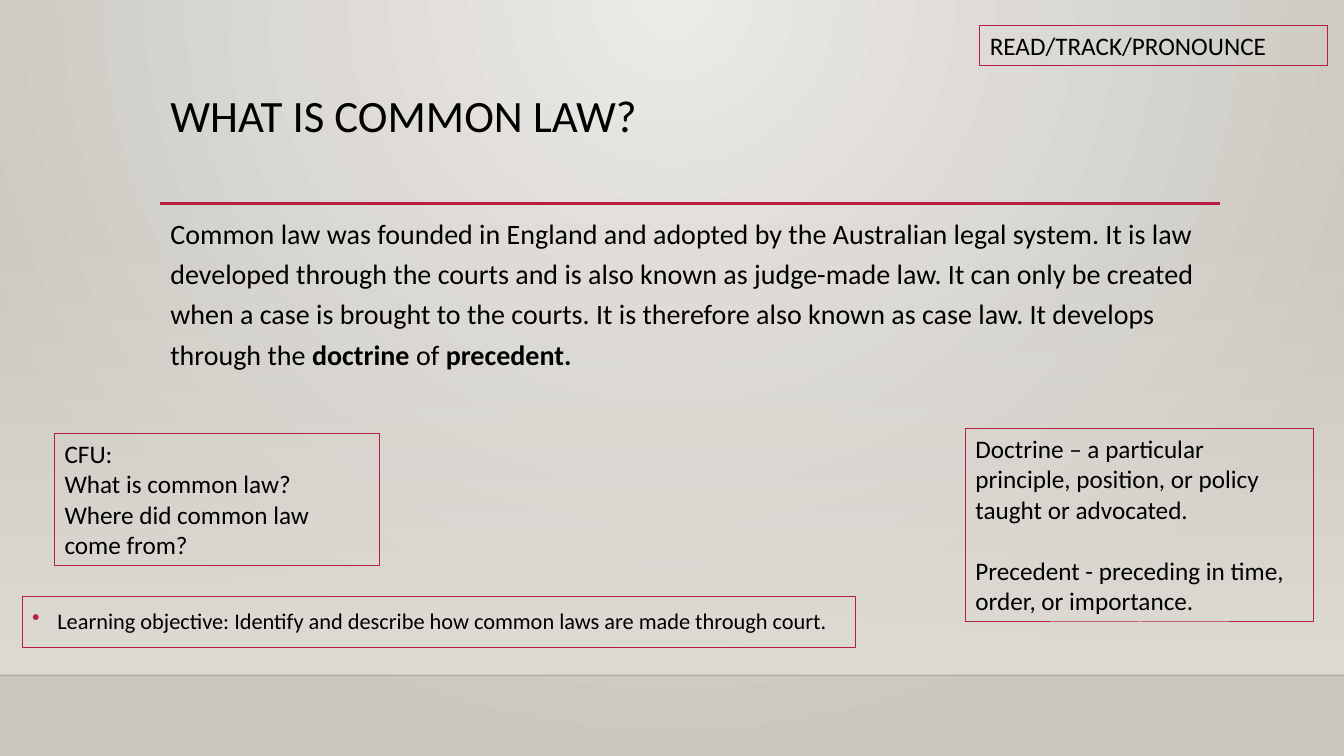
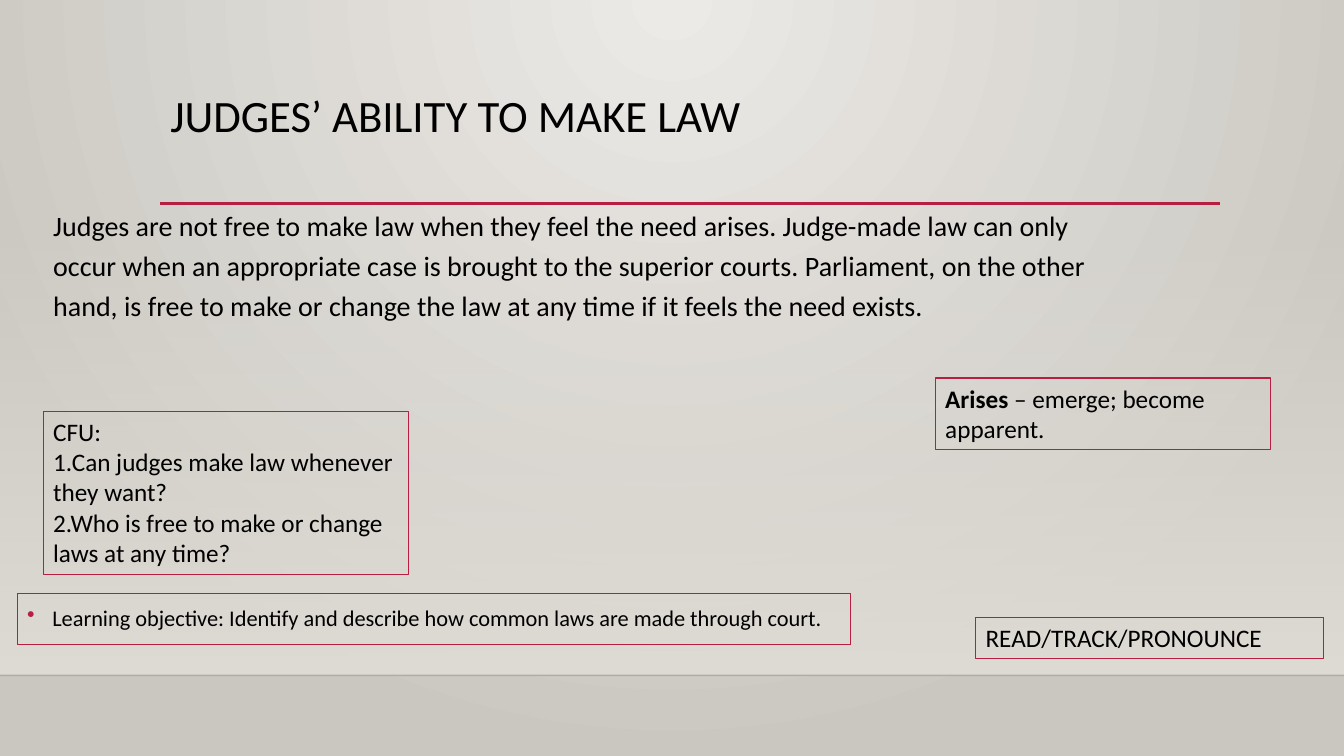
import pptx
import pptx.util
import pptx.oxml
import pptx.oxml.ns
import pptx.dml.color
import pptx.enum.shapes
import pptx.enum.text
import lxml.etree

# Shared look; lengths are columns and rows of a 32 x 18 grid
WIDE, HIGH = pptx.util.Inches(13.333), pptx.util.Inches(7.5)
COLS, ROWS = 32, 18
FONT, INK, RED = "Calibri", "000000", "B71E42"
LEFT, SPAN = 3.82, 25.2
RULE, FLOOR = 4.85, 16.08
GOAL = ("Learning objective: Identify and describe how common laws "
        "are made through court.")
CUE = "READ/TRACK/PRONOUNCE"
qn = pptx.oxml.ns.qn


def color(code):
    return pptx.dml.color.RGBColor.from_string(code)


def place(left, top, width, height):
    col, row = WIDE / COLS, HIGH / ROWS
    return [round(n) for n in (left * col, top * row, width * col, height * row)]


def blend(first, last, shape, clear=False):
    """Gradient fill between two colours, the first one optionally clear."""
    alpha = '<a:alpha val="0"/>' if clear else ""
    return pptx.oxml.parse_xml(
        f'<a:gradFill {pptx.oxml.ns.nsdecls("a")} rotWithShape="1"><a:gsLst>'
        f'<a:gs pos="0"><a:srgbClr val="{first}">{alpha}</a:srgbClr></a:gs>'
        f'<a:gs pos="100000"><a:srgbClr val="{last}"/></a:gs>'
        f'</a:gsLst>{shape}</a:gradFill>')


def bullet(par, code):
    props = par._p.get_or_add_pPr()
    indent = pptx.util.Inches(0.25)
    props.set("marL", str(indent))
    props.set("indent", str(-indent))
    tint = lxml.etree.SubElement(props, qn("a:buClr"))
    lxml.etree.SubElement(tint, qn("a:srgbClr"), val=code)
    lxml.etree.SubElement(props, qn("a:buChar"), char="•")


def write(shape, *lines, size=18, pitch=None, gap=0, dot=None):
    """Fill a shape with paragraphs; words between asterisks are bold."""
    frame = shape.text_frame
    frame.word_wrap = True
    frame.vertical_anchor = pptx.enum.text.MSO_ANCHOR.TOP
    for i, line in enumerate(lines):
        par = frame.add_paragraph() if i else frame.paragraphs[0]
        par.alignment = pptx.enum.text.PP_ALIGN.LEFT
        if pitch:
            par.line_spacing = pitch
        if i and gap:
            par.space_before = pptx.util.Pt(gap)
        if dot:
            bullet(par, dot)
        for j, part in enumerate(line.split("*")):
            run = par.add_run()
            run.text = part
            run.font.name = FONT
            run.font.size = pptx.util.Pt(size)
            run.font.bold = j % 2 == 1
            run.font.color.rgb = color(INK)


def rect(slide, *spot):
    shape = slide.shapes.add_shape(
        pptx.enum.shapes.MSO_SHAPE.RECTANGLE, *place(*spot))
    shape.shadow.inherit = False
    shape.fill.background()
    return shape


def card(slide, spot, *lines, **style):
    shape = rect(slide, *spot)
    shape.line.color.rgb = color(RED)
    shape.line.width = pptx.util.Pt(0.75)
    write(shape, *lines, **style)


def label(slide, spot, *lines, **style):
    write(slide.shapes.add_textbox(*place(*spot)), *lines, **style)


def rule(slide, left, right, row, code, width, alpha=100):
    x, y, span, _ = place(left, row, right - left, 0)
    line = slide.shapes.add_connector(
        pptx.enum.shapes.MSO_CONNECTOR.STRAIGHT, x, y, x + span, y)
    line.line.color.rgb = color(code)
    line.line.width = pptx.util.Pt(width)
    props = line._element.spPr
    if alpha < 100:
        tint = props.find(".//" + qn("a:srgbClr"))
        lxml.etree.SubElement(tint, qn("a:alpha"), val=str(alpha * 1000))
    lxml.etree.SubElement(props, qn("a:effectLst"))


def backdrop(deck):
    master = deck.slide_master
    master.background.fill.solid()
    props = master.element.find(".//" + qn("p:bgPr"))
    glow = ('<a:path path="circle"><a:fillToRect l="43000" t="0" '
            'r="43000" b="100000"/></a:path>')
    props.replace(props[0], blend("ECEAE7", "CAC7C1", glow))


def page(deck, title, text, spot):
    slide = deck.slides.add_slide(deck.slide_layouts[6])
    # Wall fading in down to the floor line
    wall = rect(slide, 0, 5.3, COLS, FLOOR - 5.3)
    wall.line.fill.background()
    props = wall._element.spPr
    fade = blend("DFDBD5", "DFDBD5", '<a:lin ang="5400000" scaled="0"/>', True)
    props.replace(props.find(qn("a:noFill")), fade)
    rule(slide, 0, COLS, FLOOR, "000001", 1, alpha=20)
    rule(slide, LEFT, 29.04, RULE, RED, 2.5)
    # Title and body
    label(slide, (LEFT, 2.11, SPAN, 2.76), title, size=32, pitch=0.9)
    label(slide, (*spot, SPAN, 4.5), text, size=20, pitch=1.2)
    return slide


def goal(slide, left, top):
    card(slide, (left, top, 19.85, 1.2), GOAL, size=16, pitch=1.2, dot=RED)


def cue(slide, left, top):
    card(slide, (left, top, 8.28, 0.96), CUE)


def main():
    deck = pptx.Presentation()
    deck.slide_width, deck.slide_height = WIDE, HIGH
    backdrop(deck)

    # Common law
    slide = page(
        deck, "WHAT IS COMMON LAW?",
        "Common law was founded in England and adopted by the Australian legal "
        "system. It is law developed through the courts and is also known as "
        "judge-made law. It can only be created when a case is brought to the "
        "courts. It is therefore also known as case law. It develops through "
        "the *doctrine* of *precedent.*", (LEFT, 4.87))
    card(slide, (1.3, 10.32, 7.73, 3.14), "CFU:", "What is common law?",
         "Where did common law come from?")
    goal(slide, 0.53, 14.21)
    card(slide, (22.99, 10.2, 8.28, 4.61),
         "Doctrine – a particular principle, position, or policy taught or "
         "advocated.",
         "Precedent - preceding in time, order, or importance.", gap=22)
    cue(slide, 23.33, 0.6)

    # Judges
    slide = page(
        deck, "JUDGES’ ABILITY TO MAKE LAW",
        "Judges are not free to make law when they feel the need arises. "
        "Judge-made law can only occur when an appropriate case is brought to "
        "the superior courts. Parliament, on the other hand, is free to make "
        "or change the law at any time if it feels the need exists.",
        (1.03, 4.68))
    card(slide, (1.03, 9.79, 8.69, 3.89), "CFU:",
         "1.Can judges make law whenever they want?",
         "2.Who is free to make or change laws at any time?")
    goal(slide, 0.41, 14.14)
    cue(slide, 23.23, 14.71)
    card(slide, (22.27, 9, 7.97, 1.7), "*Arises* – emerge; become apparent.")

    deck.save("out.pptx")


if __name__ == "__main__":
    main()
